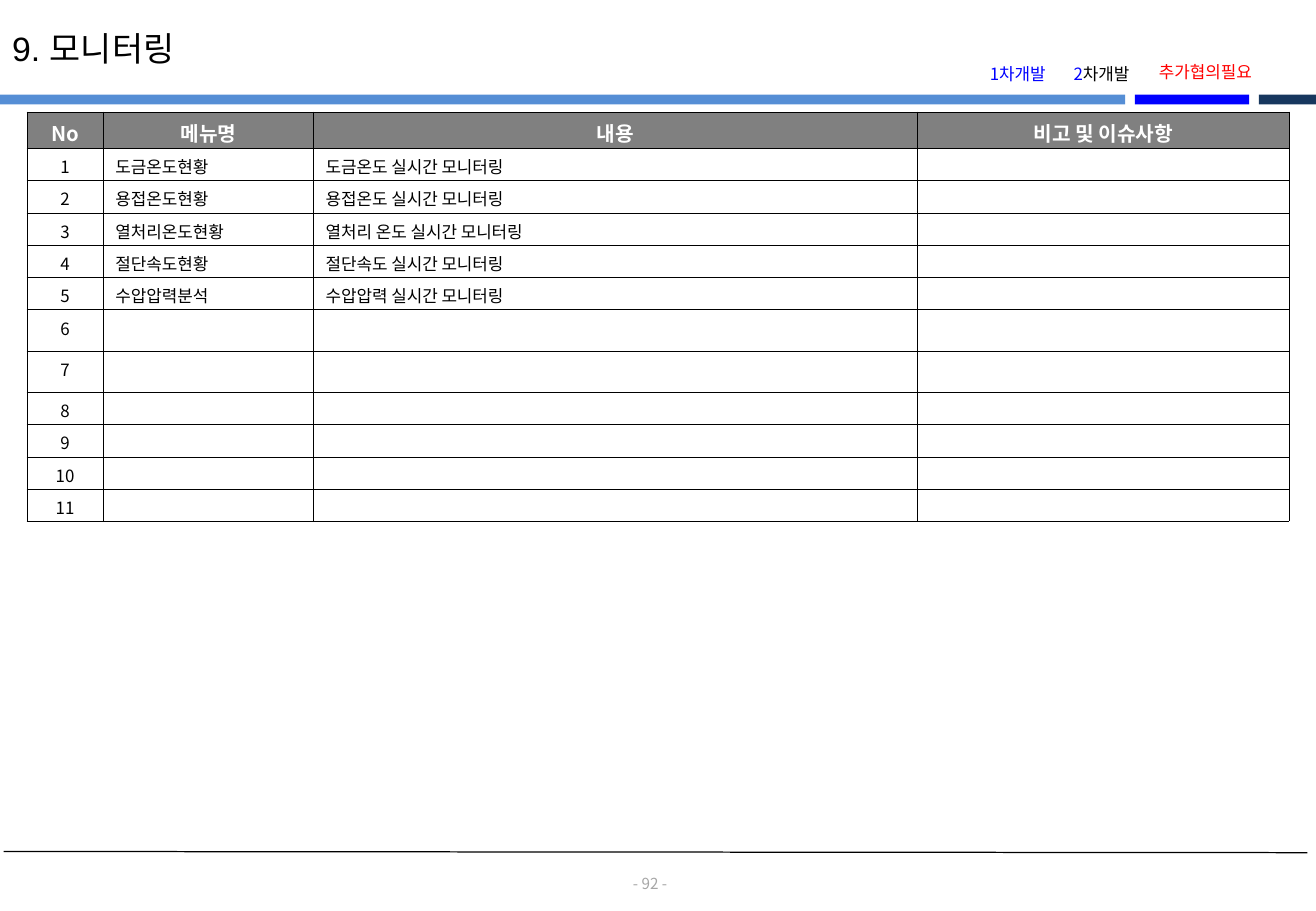
from lxml.etree import SubElement as Sub
from pptx import Presentation as Deck
from pptx.dml.color import RGBColor as Rgb
from pptx.enum.shapes import MSO_CONNECTOR as Conn, MSO_SHAPE as Shape
from pptx.enum.text import MSO_ANCHOR as Anchor, PP_ALIGN as Align
from pptx.oxml.ns import qn
from pptx.util import Inches as In, Pt

NOTO = "Noto Sans CJK KR"
BLACK, BLUE = "000000", "0000FF"
COLS = [0.63, 1.73, 4.97, 3.06]
HEAD = ["No", "메뉴명", "내용", "비고 및 이슈사항"]
ITEMS = [
    ("도금온도현황", "도금온도 실시간 모니터링"),
    ("용접온도현황", "용접온도 실시간 모니터링"),
    ("열처리온도현황", "열처리 온도 실시간 모니터링"),
    ("절단속도현황", "절단속도 실시간 모니터링"),
    ("수압압력분석", "수압압력 실시간 모니터링"),
]
COUNT = 11
TALL = (6, 7)
HEAD_H, ROW_H, TALL_H = 0.3, 1.33 / 5, 0.34


def paint(target, color):
    target.solid()
    target.fore_color.rgb = Rgb.from_string(color)


def style(run, size, color, face=NOTO, bold=False):
    font = run.font
    font.size, font.name, font.bold = Pt(size), face, bold
    font.color.rgb = Rgb.from_string(color)
    Sub(font._element, qn("a:ea"), typeface=face)


def add_bar(slide, left, width, color):
    bar = slide.shapes.add_shape(
        Shape.RECTANGLE, In(left), In(0.78), In(width), In(0.08))
    bar.shadow.inherit = False
    paint(bar.fill, color)
    bar.line.fill.background()


def add_rule(slide):
    rule = slide.shapes.add_connector(
        Conn.STRAIGHT, In(0.03), In(7.01), In(10.76), In(7.02))
    rule.line.width = Pt(0.75)
    paint(rule.line.fill, BLACK)
    Sub(rule._element.spPr, qn("a:effectLst"))


def add_label(slide, left, top, width, height, parts, size=10):
    box = slide.shapes.add_textbox(In(left), In(top), In(width), In(height))
    frame = box.text_frame
    frame.word_wrap = True
    frame.vertical_anchor = Anchor.MIDDLE
    frame.margin_left = frame.margin_right = 0
    frame.margin_top = frame.margin_bottom = 0
    para = frame.paragraphs[0]
    para.alignment = Align.CENTER
    for text, color in parts:
        run = para.add_run()
        run.text = text
        style(run, size, color)


def set_title(slide, text):
    title = slide.shapes.title
    title.left, title.top = In(0), In(0.18)
    title.width, title.height = In(9.48), In(0.44)
    frame = title.text_frame
    frame.text = text
    frame.vertical_anchor = Anchor.TOP
    para = frame.paragraphs[0]
    para.alignment = Align.LEFT
    style(para.runs[0], 20, BLACK, "Arial")


def add_edges(cell):
    props = cell._tc.get_or_add_tcPr()
    for side in ("lnL", "lnR", "lnT", "lnB"):
        edge = Sub(props, qn(f"a:{side}"), w=str(Pt(0.25)))
        Sub(Sub(edge, qn("a:solidFill")), qn("a:srgbClr"), val=BLACK)


def set_cell(cell, text, head, center):
    add_edges(cell)
    cell.margin_top, cell.margin_bottom = In(0.05), In(0.01)
    cell.vertical_anchor = Anchor.TOP
    if head:
        paint(cell.fill, "808080")
    else:
        cell.fill.background()
    para = cell.text_frame.paragraphs[0]
    para.alignment = Align.CENTER if center else Align.LEFT
    if text:
        para.text = text
        style(para.runs[0], 12 if head else 10,
              "FFFFFF" if head else BLACK, bold=head)
    else:
        Sub(para._p, qn("a:endParaRPr"), sz="1000")


def add_menu(slide):
    blanks = [("", "")] * (COUNT - len(ITEMS))
    rows = [HEAD] + [
        (str(no), *item, "") for no, item in enumerate(ITEMS + blanks, 1)]
    tops = [HEAD_H] + [
        TALL_H if no in TALL else ROW_H for no in range(1, COUNT + 1)]
    table = slide.shapes.add_table(
        len(rows), len(COLS), In(0.22), In(0.92),
        In(sum(COLS)), In(sum(tops))).table
    table.first_row = table.horz_banding = False
    for col, width in zip(table.columns, COLS):
        col.width = In(width)
    for r, (row, height) in enumerate(zip(rows, tops)):
        table.rows[r].height = In(height)
        for c, text in enumerate(row):
            set_cell(table.cell(r, c), text, r == 0, r == 0 or c == 0)


def main():
    deck = Deck()
    deck.slide_width, deck.slide_height = In(10.83), In(7.5)
    slide = deck.slides.add_slide(deck.slide_layouts[5])
    set_title(slide, "9. 모니터링")
    add_bar(slide, 0, 9.26, "558ED5")
    add_bar(slide, 9.34, 0.94, BLUE)
    add_bar(slide, 10.36, 0.47, "17375E")
    add_rule(slide)
    add_label(slide, 5.05, 7.2, 0.6, 0.15, [("- 92 -", "A6A6A6")], 9)
    add_menu(slide)
    add_label(slide, 7.94, 0.52, 0.87, 0.18, [("1차개발", BLUE)])
    add_label(slide, 8.63, 0.52, 0.87, 0.18, [("2", BLUE), ("차개발", BLACK)])
    add_label(slide, 9.39, 0.5, 1.06, 0.18, [("추가협의필요", "FF0000")])
    deck.save("out.pptx")


if __name__ == "__main__":
    main()
